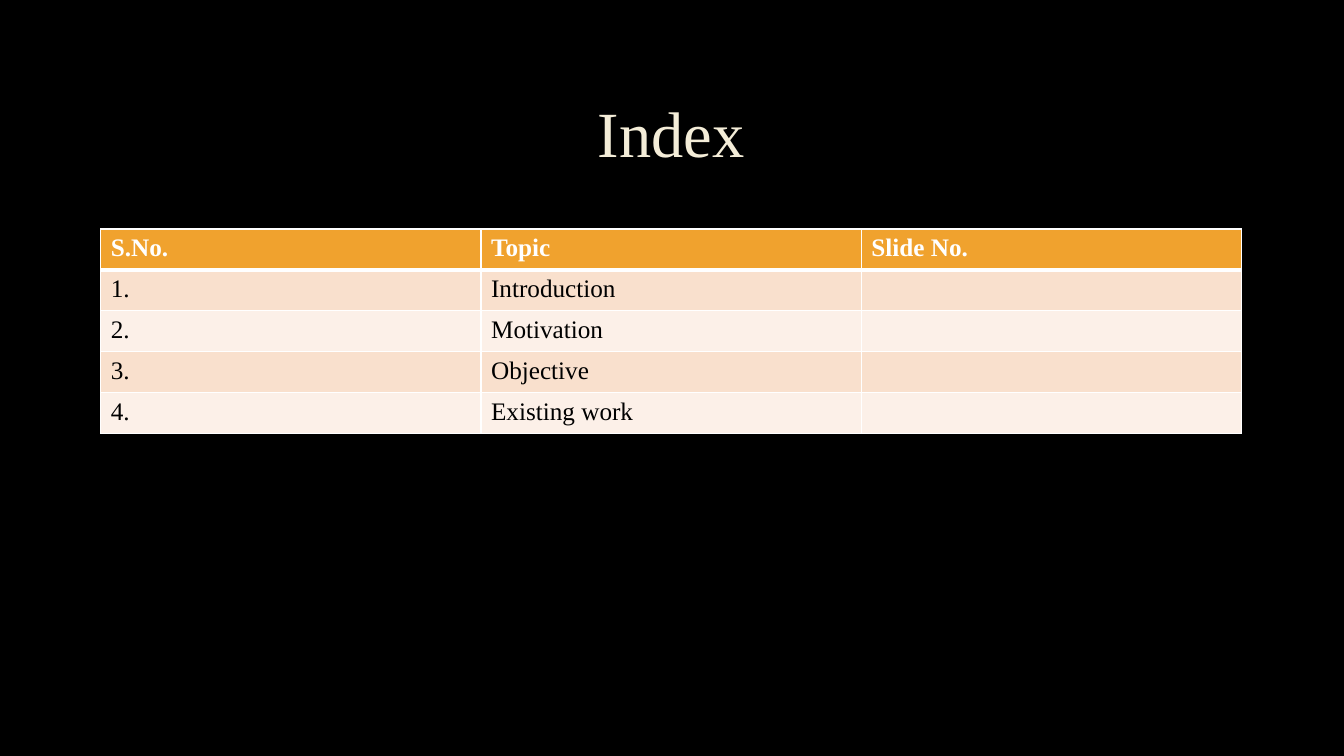
from lxml import etree
from pptx import Presentation
from pptx.dml.color import RGBColor as Rgb
from pptx.enum.text import MSO_ANCHOR as Anchor, PP_ALIGN as Align
from pptx.oxml.ns import qn
from pptx.util import Cm, Pt

COLORS = {
    "background": "000000",
    "title": "F4EDD8",
    "outline": "404040",
    "header": "F0A22E",
    "odd": "F9E0CD",
    "even": "FCF0E8",
    "light": "FFFFFF",
    "dark": "000000",
}
ROWS = [
    ("S.No.", "Topic", "Slide No."),
    ("1.", "Introduction", ""),
    ("2.", "Motivation", ""),
    ("3.", "Objective", ""),
    ("4.", "Existing work", ""),
]
LEFT, WIDTH, ROW_HEIGHT = Cm(2.54), Cm(28.75), Cm(1.03)


def add_span(para, text, color, **formats):
    span = para.add_run()
    span.text = text
    for name, value in {"name": "Times New Roman", **formats}.items():
        setattr(span.font, name, value)
    span.font.color.rgb = Rgb.from_string(COLORS[color])
    return span


def add_line(parent, tag, color, points):
    line = etree.SubElement(parent, qn(tag), w=str(Pt(points)))
    fill = etree.SubElement(line, qn("a:solidFill"))
    return etree.SubElement(fill, qn("a:srgbClr"), val=COLORS[color])


# Page
deck = Presentation()
deck.slide_width, deck.slide_height = Cm(33.87), Cm(19.05)
page = deck.slides.add_slide(deck.slide_layouts[6])
page.background.fill.solid()
page.background.fill.fore_color.rgb = Rgb.from_string(COLORS["background"])

# Title with a faint outline
box = page.shapes.add_textbox(LEFT, Cm(1.7), WIDTH, Cm(3.5))
frame = box.text_frame
frame.word_wrap = True
frame.vertical_anchor = Anchor.MIDDLE
para = frame.paragraphs[0]
para.alignment = Align.CENTER
para.line_spacing = 0.9
title = add_span(para, "Index", "title", size=Pt(46))
properties = title.font._element
outline = add_line(properties, "a:ln", "outline", 0.75)
etree.SubElement(outline, qn("a:alpha"), val="10000")
properties.insert(0, properties.find(qn("a:ln")))

# Index table
table = page.shapes.add_table(
    len(ROWS), len(ROWS[0]), LEFT, Cm(5.77), WIDTH, ROW_HEIGHT * len(ROWS)
).table
for row, texts in enumerate(ROWS):
    is_header = row == 0
    band = "header" if is_header else "odd" if row % 2 else "even"
    borders = {
        "a:lnL": 1,
        "a:lnR": 1,
        "a:lnT": 3 if row == 1 else 1,
        "a:lnB": 3 if is_header else 1,
    }
    for column, text in enumerate(texts):
        cell = table.cell(row, column)
        cell_properties = cell._tc.get_or_add_tcPr()
        for tag, points in borders.items():
            add_line(cell_properties, tag, "light", points)
        cell.fill.solid()
        cell.fill.fore_color.rgb = Rgb.from_string(COLORS[band])
        if text:
            color = "light" if is_header else "dark"
            add_span(cell.text_frame.paragraphs[0], text, color, size=Pt(18), bold=is_header)

deck.save("out.pptx")
